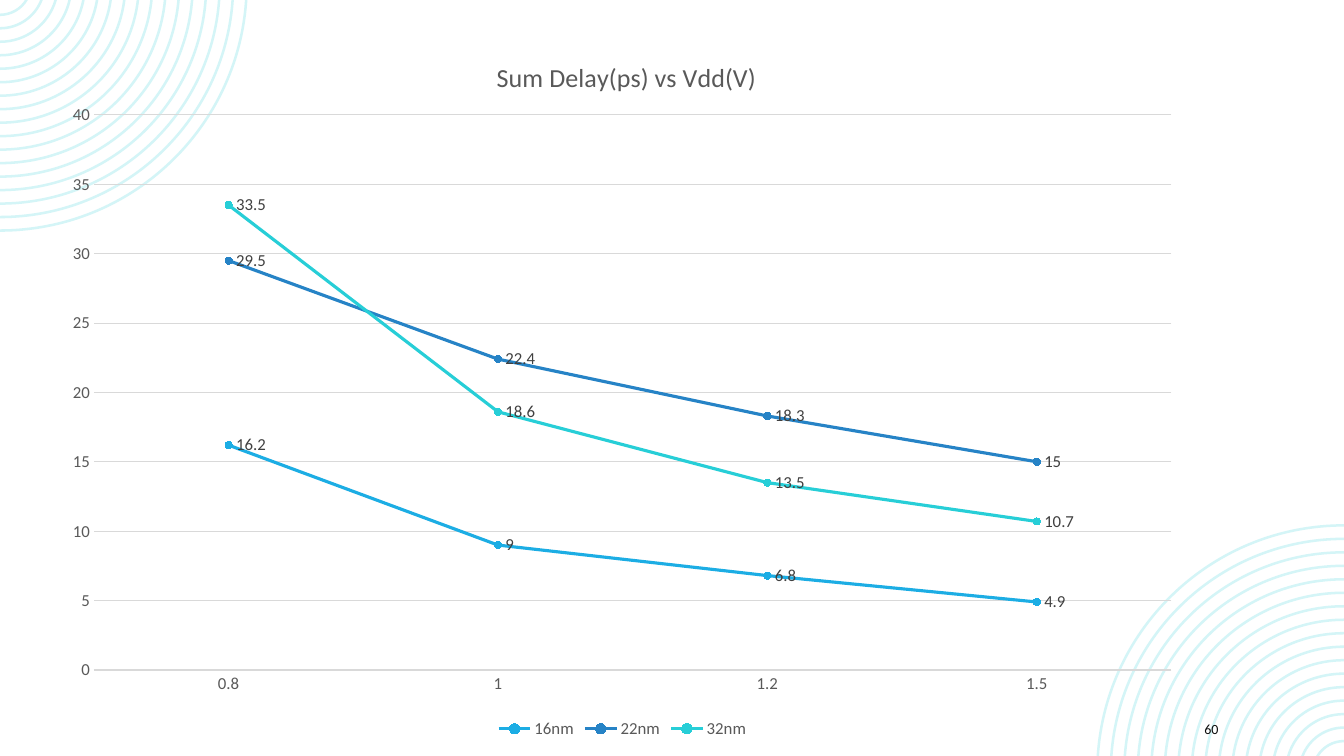
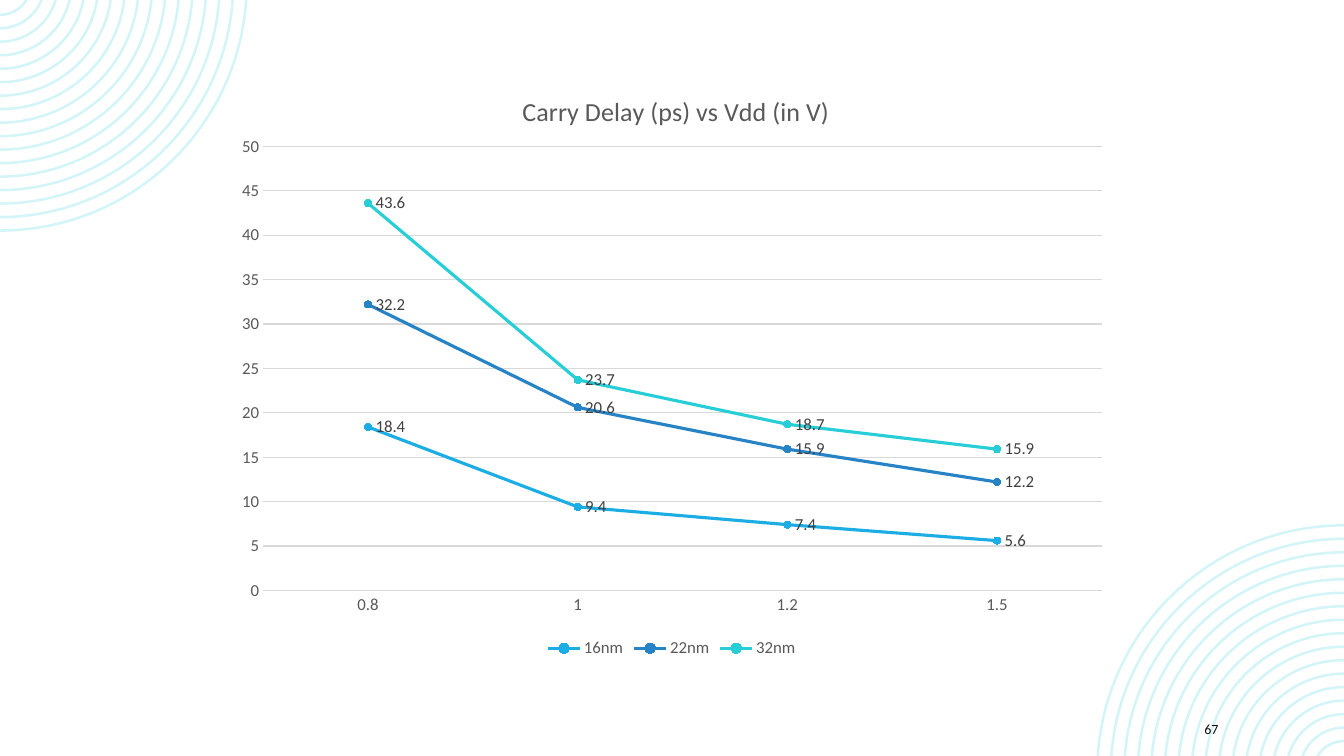
import math

import lxml.etree
import pptx
import pptx.chart.data
import pptx.dml.color
import pptx.enum.chart
import pptx.enum.text
import pptx.oxml.ns
import pptx.util

WIDTH, HEIGHT = pptx.util.Inches(13.333), pptx.util.Inches(7.5)
COLUMN, ROW = WIDTH / 40, HEIGHT / 30
FONT = "Calibri"
COLORS = {
    "background": "FFFFFF",
    "rings": "D4F5F7",
    "number": "0D0D0D",
    "axis_text": "595959",
    "label_text": "404040",
    "grid": "D9D9D9",
    "16nm": "1CADE4",
    "22nm": "2683C6",
    "32nm": "27CED7",
}
VOLTAGES = ["0.8", "1", "1.2", "1.5"]
NUMBER_BOX = (35.55, 28.32, 3.18, 1.2)
RING_COUNT, RING_OUTER, RING_INNER = 17, 9.84, 1.28
RING_BAND, RING_OFFSET = 0.1, 0.64

DELAY_SLIDES = [
    {
        "number": "60",
        "title": "Sum Delay(ps) vs Vdd(V)",
        "box": (1.5, 1.16, 34.05, 28.32),
        "title_percent": {"x": 38.6, "y": 3.5},
        "plot_percent": {"x": 3.8, "y": 12, "w": 94.2, "h": 77.8},
        "maximum": 40,
        "delays": {
            "16nm": [16.2, 9, 6.8, 4.9],
            "22nm": [29.5, 22.4, 18.3, 15],
            "32nm": [33.5, 18.6, 13.5, 10.7],
        },
    },
    {
        "number": "67",
        "title": "Carry Delay (ps) vs Vdd (in V)",
        "box": (6.66, 2.56, 26.67, 23.72),
        "title_percent": {"x": 32.8, "y": 4},
        "plot_percent": {"x": 4.4, "y": 13.7, "w": 93.6, "h": 74.3},
        "maximum": 50,
        "delays": {
            "16nm": [18.4, 9.4, 7.4, 5.6],
            "22nm": [32.2, 20.6, 15.9, 12.2],
            "32nm": [43.6, 23.7, 18.7, 15.9],
        },
    },
]


def color(name):
    """Return the named colour."""
    return pptx.dml.color.RGBColor.from_string(COLORS[name])


def grid_box(box):
    """Turn columns and rows into left, top, width and height."""
    left, top, width, height = box
    return round(left * COLUMN), round(top * ROW), round(width * COLUMN), round(height * ROW)


def style_font(font, size, color_name):
    """Set the typeface, size and colour of a font."""
    font.name = FONT
    font.size = pptx.util.Pt(size)
    font.bold = False
    font.color.rgb = color(color_name)


def style_line(line, color_name, width):
    """Set the colour and width of a line."""
    line.color.rgb = color(color_name)
    line.width = pptx.util.Pt(width)


def arc_points(radius):
    """Return start, two handles and end of the arc below the top edge."""
    start = math.asin(RING_OFFSET / radius)
    handle = radius * 4 / 3 * math.tan((math.pi / 2 - start) / 4)
    left, top = radius * math.cos(start), radius * math.sin(start)
    points = [
        (left, top),
        (left - handle * math.sin(start), top + handle * math.cos(start)),
        (handle, radius),
        (0, radius),
    ]
    return [(x * ROW, (y - RING_OFFSET) * ROW) for x, y in points]


def curve_contours(shape):
    """Turn the handles of each ring into two Bézier curves."""
    qn = pptx.oxml.ns.qn
    lines = list(shape.element.iter(qn("a:lnTo")))
    for ring in range(0, len(lines), 7):
        for first in (ring, ring + 4):
            curve = lxml.etree.Element(qn("a:cubicBezTo"))
            lines[first].addprevious(curve)
            for line in lines[first:first + 3]:
                curve.append(line[0])
                line.getparent().remove(line)


def add_rings(slide, opposite):
    """Draw concentric rings in the top left or the opposite corner."""
    step = (RING_OUTER - RING_INNER) / (RING_COUNT - 1)
    builder = None
    for index in range(RING_COUNT):
        radius = RING_OUTER - index * step
        points = arc_points(radius) + arc_points(radius - RING_BAND)[::-1]
        if opposite:
            points = [(WIDTH - x, HEIGHT - y) for x, y in points]
        if builder is None:
            builder = slide.shapes.build_freeform(*points[0])
        else:
            builder.move_to(*points[0])
        builder.add_line_segments(points[1:], close=True)
    shape = builder.convert_to_shape()
    curve_contours(shape)
    shape.shadow.inherit = False
    shape.fill.solid()
    shape.fill.fore_color.rgb = color("rings")
    shape.line.fill.background()
    return shape


def share_rings(slide, layout):
    """Place the rings of both corners on the shared layout."""
    for opposite in (False, True):
        layout.shapes.element.append(add_rings(slide, opposite).element)


def add_number(slide, text, box):
    """Write the slide number in its box."""
    shape = slide.shapes.add_textbox(*grid_box(box))
    frame = shape.text_frame
    frame.word_wrap = True
    frame.vertical_anchor = pptx.enum.text.MSO_ANCHOR.MIDDLE
    paragraph = frame.paragraphs[0]
    paragraph.text = text
    style_font(paragraph.font, 10, "number")


def set_layout(parent, position, percents, inner=False):
    """Fix a chart part at percentages of the chart's size."""
    qn = pptx.oxml.ns.qn
    layout = parent.find(qn("c:layout"))
    if layout is None:
        layout = lxml.etree.Element(qn("c:layout"))
        parent.insert(position, layout)
    manual = lxml.etree.SubElement(layout, qn("c:manualLayout"))
    if inner:
        lxml.etree.SubElement(manual, qn("c:layoutTarget")).set("val", "inner")
    for key in "xy":
        lxml.etree.SubElement(manual, qn(f"c:{key}Mode")).set("val", "edge")
    for key, percent in percents.items():
        lxml.etree.SubElement(manual, qn(f"c:{key}")).set("val", str(percent / 100))


def style_axes(chart, maximum):
    """Style both axes and the gridlines."""
    for axis in (chart.category_axis, chart.value_axis):
        axis.major_tick_mark = pptx.enum.chart.XL_TICK_MARK.NONE
        axis.minor_tick_mark = pptx.enum.chart.XL_TICK_MARK.NONE
        style_font(axis.tick_labels.font, 12, "axis_text")
    style_line(chart.category_axis.format.line, "grid", 0.75)
    values = chart.value_axis
    values.minimum_scale, values.maximum_scale, values.major_unit = 0, maximum, 5
    values.format.line.fill.background()
    values.has_major_gridlines = True
    style_line(values.major_gridlines.format.line, "grid", 0.75)


def style_series(series):
    """Style the line, markers and labels of one technology node."""
    series.smooth = False
    style_line(series.format.line, series.name, 2.25)
    marker = series.marker
    marker.style = pptx.enum.chart.XL_MARKER_STYLE.CIRCLE
    marker.size = 5
    marker.format.fill.solid()
    marker.format.fill.fore_color.rgb = color(series.name)
    style_line(marker.format.line, series.name, 0.75)
    labels = series.data_labels
    labels.show_value = True
    labels.position = pptx.enum.chart.XL_LABEL_POSITION.RIGHT
    style_font(labels.font, 12, "label_text")


def add_delay_chart(slide, content):
    """Draw the line chart of delay against supply voltage."""
    data = pptx.chart.data.CategoryChartData()
    data.categories = VOLTAGES
    for node, delays in content["delays"].items():
        data.add_series(node, delays)
    chart = slide.shapes.add_chart(
        pptx.enum.chart.XL_CHART_TYPE.LINE_MARKERS, *grid_box(content["box"]), data
    ).chart
    style_font(chart.font, 10, "axis_text")
    chart.has_title = True
    paragraph = chart.chart_title.text_frame.paragraphs[0]
    paragraph.text = content["title"]
    style_font(paragraph.font, 18.6, "axis_text")
    chart.has_legend = True
    chart.legend.position = pptx.enum.chart.XL_LEGEND_POSITION.BOTTOM
    chart.legend.include_in_layout = False
    style_font(chart.legend.font, 12, "axis_text")
    style_axes(chart, content["maximum"])
    plot = chart.plots[0]
    plot.vary_by_categories = False
    for series in plot.series:
        style_series(series)
    set_layout(chart.chart_title.element, 1, content["title_percent"])
    plot_area = chart.element.find(".//" + pptx.oxml.ns.qn("c:plotArea"))
    set_layout(plot_area, 0, content["plot_percent"], inner=True)


def main():
    """Build and save the presentation."""
    presentation = pptx.Presentation()
    presentation.slide_width, presentation.slide_height = WIDTH, HEIGHT
    layout = presentation.slide_layouts[6]
    background = layout.background.fill
    background.solid()
    background.fore_color.rgb = color("background")
    for index, content in enumerate(DELAY_SLIDES):
        slide = presentation.slides.add_slide(layout)
        if index == 0:
            share_rings(slide, layout)
        add_number(slide, content["number"], NUMBER_BOX)
        add_delay_chart(slide, content)
    presentation.save("out.pptx")


if __name__ == "__main__":
    main()
